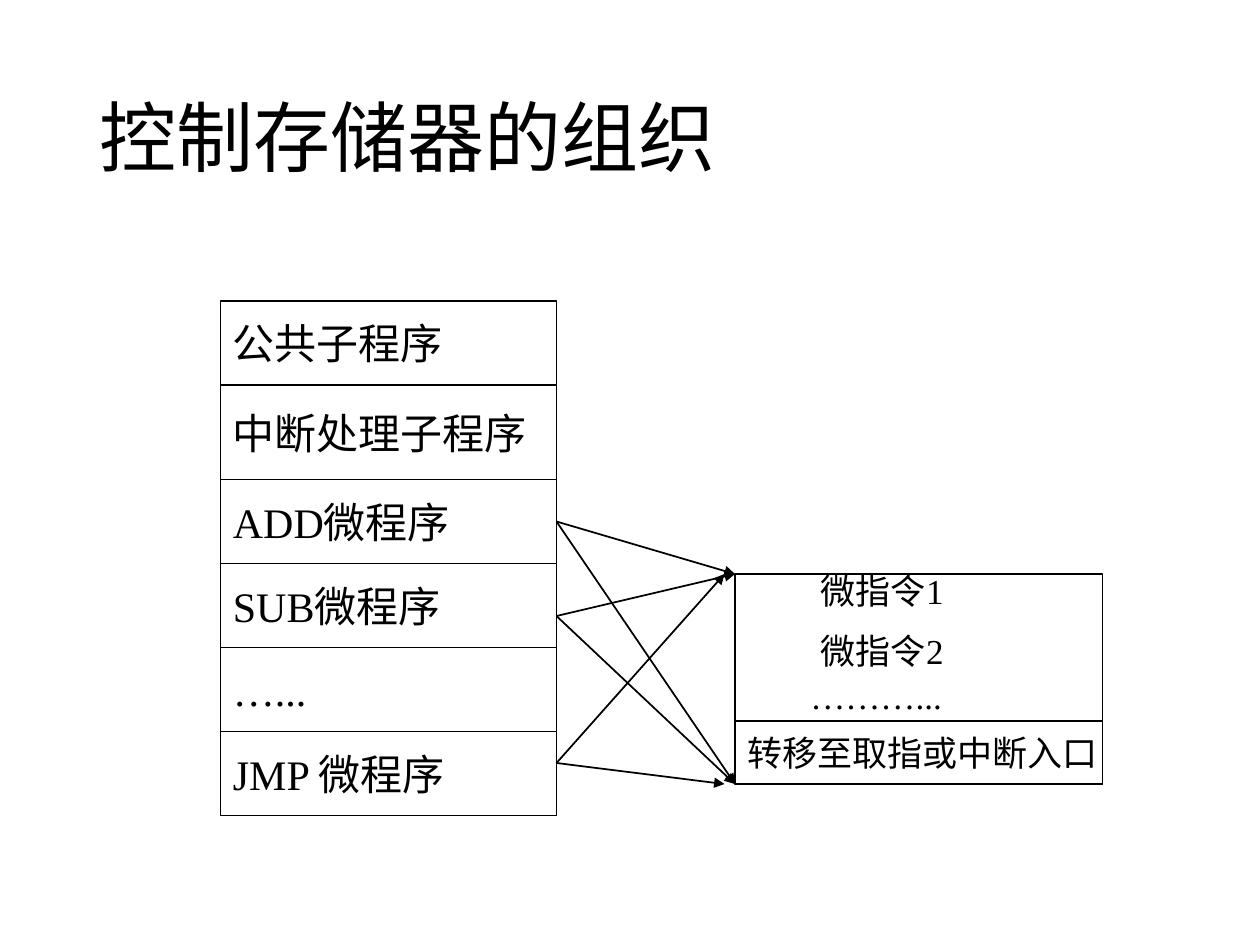
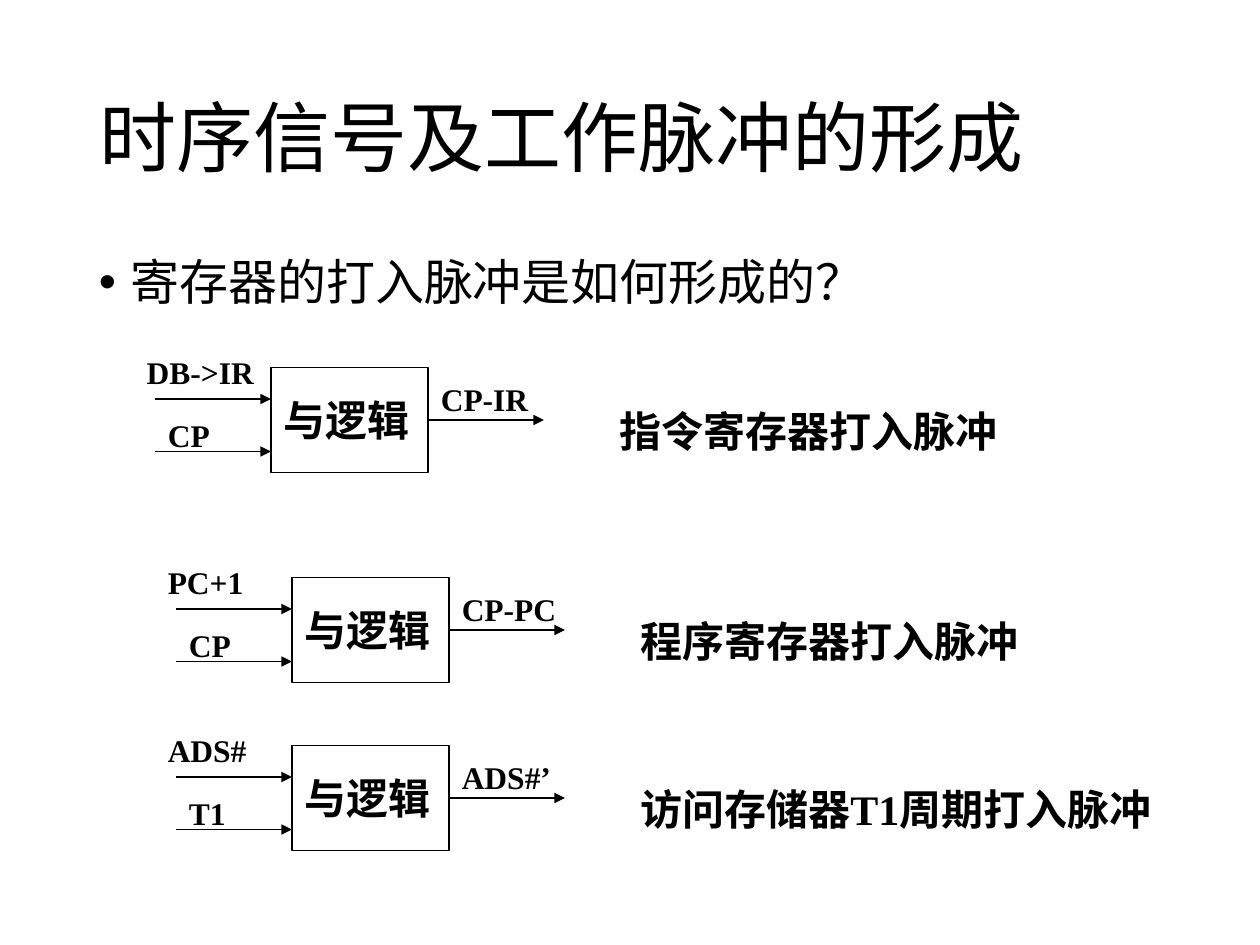
from dataclasses import dataclass
from itertools import accumulate

from lxml.etree import SubElement
from pptx import Presentation
from pptx.dml.color import RGBColor
from pptx.enum.lang import MSO_LANGUAGE_ID
from pptx.enum.shapes import MSO_CONNECTOR, MSO_SHAPE
from pptx.enum.text import MSO_ANCHOR, MSO_AUTO_SIZE, PP_ALIGN
from pptx.oxml.ns import qn
from pptx.util import Inches, Pt

BLACK = RGBColor(0, 0, 0)
WHITE = RGBColor(255, 255, 255)
HEADING_FONT = "Calibri"
DIAGRAM_FONT = "Times New Roman"
SLIDE_WIDTH, SLIDE_HEIGHT = Inches(10), Inches(7.5)
COLUMNS, ROWS = 120, 90
TITLE_ONLY_LAYOUT = 5


@dataclass(frozen=True)
class Area:
    """A rectangle in grid columns and rows."""
    left: float
    top: float
    width: float
    height: float

    def lengths(self) -> tuple:
        return (across(self.left), down(self.top),
                across(self.width), down(self.height))


@dataclass(frozen=True)
class Gate:
    left: float
    top: float
    upper_input: str
    lower_input: str
    output: str
    meaning: str
    meaning_width: float = 52


TITLE_AREA = Area(8.25, 4.8, 103.5, 17.4)
QUESTION_AREA = Area(8.25, 24, 103.5, 57.1)

STORE_LEFT, STORE_TOP, STORE_WIDTH = 21, 28.67, 32
STORE_ROWS = [
    ("公共子程序", 8),
    ("中断处理子程序", 9),
    ("ADD微程序", 8),
    ("SUB微程序", 8),
    ("…...", 8),
    ("JMP 微程序", 8),
]
ROUTINE = Area(70, 54.67, 35, 20)
ROUTINE_EXIT_HEIGHT = 6
# Row where the two arrows of a microprogram start, and the column they reach
EXPANSIONS = [(49.67, 70), (58.67, 70), (72.67, 69)]

GATE_WIDTH, GATE_HEIGHT, WIRE_LENGTH = 15, 10, 11
GATES = [
    Gate(25.8, 35, "DB->IR", "CP", "CP-IR", "指令寄存器打入脉冲"),
    Gate(27.8, 55, "PC+1", "CP", "CP-PC", "程序寄存器打入脉冲"),
    Gate(27.8, 71, "ADS#", "T1", "ADS#’", "访问存储器T1周期打入脉冲", 57),
]


def across(columns: float) -> int:
    return round(SLIDE_WIDTH * columns / COLUMNS)


def down(rows: float) -> int:
    return round(SLIDE_HEIGHT * rows / ROWS)


def write(shape, *lines: str, size: float, font: str = DIAGRAM_FONT,
          bold: bool = False, anchor=MSO_ANCHOR.TOP, wrap: bool = True,
          spacing: float = 1, gap: float = 0, bullet: bool = False) -> None:
    frame = shape.text_frame
    frame.word_wrap = wrap
    frame.vertical_anchor = anchor
    for index, line in enumerate(lines):
        paragraph = frame.add_paragraph() if index else frame.paragraphs[0]
        if bullet:
            add_bullet(paragraph)
        paragraph.alignment = PP_ALIGN.LEFT
        paragraph.line_spacing = spacing
        if index:
            paragraph.space_before = Pt(gap)
        run = paragraph.add_run()
        run.text = line
        run.font.name = font
        run.font.size = Pt(size)
        run.font.bold = bold
        run.font.color.rgb = BLACK
        run.font.language_id = MSO_LANGUAGE_ID.SIMPLIFIED_CHINESE


def add_bullet(paragraph) -> None:
    properties = paragraph._p.get_or_add_pPr()
    properties.set("marL", str(Inches(0.25)))
    properties.set("indent", str(-Inches(0.25)))
    SubElement(properties, qn("a:buFont"), typeface="Arial")
    SubElement(properties, qn("a:buChar"), char="•")


def add_box(slide, area: Area, text: str = "", **text_format) -> None:
    box = slide.shapes.add_shape(MSO_SHAPE.RECTANGLE, *area.lengths())
    box.shadow.inherit = False
    box.fill.solid()
    box.fill.fore_color.rgb = WHITE
    box.line.color.rgb = BLACK
    box.line.width = Pt(1)
    if text:
        write(box, text, anchor=MSO_ANCHOR.MIDDLE, wrap=False, **text_format)


def add_label(slide, area: Area, *lines: str, **text_format) -> None:
    label = slide.shapes.add_textbox(*area.lengths())
    write(label, *lines, **text_format)
    label.text_frame.auto_size = MSO_AUTO_SIZE.SHAPE_TO_FIT_TEXT


def add_arrow(slide, start: tuple[float, float], end: tuple[float, float]) -> None:
    arrow = slide.shapes.add_connector(
        MSO_CONNECTOR.STRAIGHT, across(start[0]), down(start[1]),
        across(end[0]), down(end[1]))
    arrow.line.color.rgb = BLACK
    arrow.line.width = Pt(1)
    SubElement(arrow.line._get_or_add_ln(), qn("a:tailEnd"), type="triangle")
    SubElement(arrow._element.spPr, qn("a:effectLst"))


def add_titled_slide(presentation, title: str):
    slide = presentation.slides.add_slide(
        presentation.slide_layouts[TITLE_ONLY_LAYOUT])
    heading = slide.shapes.title
    heading.left, heading.top, heading.width, heading.height = TITLE_AREA.lengths()
    write(heading, title, size=44, font=HEADING_FONT, spacing=0.9,
          anchor=MSO_ANCHOR.MIDDLE)
    return slide


def build_control_store(presentation) -> None:
    slide = add_titled_slide(presentation, "控制存储器的组织")
    tops = accumulate((height for _, height in STORE_ROWS), initial=STORE_TOP)
    for (name, height), top in zip(STORE_ROWS, tops):
        add_box(slide, Area(STORE_LEFT, top, STORE_WIDTH, height), name, size=24)

    bottom = ROUTINE.top + ROUTINE.height
    add_box(slide, ROUTINE)
    add_box(slide, Area(ROUTINE.left, bottom - ROUTINE_EXIT_HEIGHT,
                        ROUTINE.width, ROUTINE_EXIT_HEIGHT),
            "转移至取指或中断入口", size=20)
    add_label(slide, Area(77, 53.67, 18, 11.2), "微指令1", "微指令2",
              size=20, gap=10)
    add_label(slide, Area(76, 63.67, 27, 12.5), "………...", size=20)

    for start_row, end_column in EXPANSIONS:
        for end_row in (ROUTINE.top, bottom):
            add_arrow(slide, (STORE_LEFT + STORE_WIDTH, start_row),
                      (end_column, end_row))


def add_gate(slide, gate: Gate) -> None:
    left, top = gate.left, gate.top
    right = left + GATE_WIDTH
    add_box(slide, Area(left, top, GATE_WIDTH, GATE_HEIGHT), "与逻辑",
            size=24, bold=True)
    for wire_left, offset in ((left - WIRE_LENGTH, 3),
                              (left - WIRE_LENGTH, 8), (right, 5)):
        add_arrow(slide, (wire_left, top + offset),
                  (wire_left + WIRE_LENGTH, top + offset))

    labels = [
        (gate.upper_input, Area(left - 13, top - 2, 18, 4.8)),
        (gate.lower_input, Area(left - 11, top + 4, 9, 4.8)),
        (gate.output, Area(right, top + 0.6, 14, 4.8)),
    ]
    for text, area in labels:
        add_label(slide, area, text, size=18, bold=True)
    add_label(slide, Area(left + 32, top + 3, gate.meaning_width, 6),
              gate.meaning, size=24, bold=True)


def build_pulse_forming(presentation) -> None:
    slide = add_titled_slide(presentation, "时序信号及工作脉冲的形成")
    question = slide.shapes.add_textbox(*QUESTION_AREA.lengths())
    write(question, "寄存器的打入脉冲是如何形成的？", size=28,
          font=HEADING_FONT, spacing=0.9, bullet=True)
    for gate in GATES:
        add_gate(slide, gate)


def main() -> None:
    presentation = Presentation()
    presentation.slide_width = SLIDE_WIDTH
    presentation.slide_height = SLIDE_HEIGHT
    build_control_store(presentation)
    build_pulse_forming(presentation)
    presentation.save("out.pptx")


if __name__ == "__main__":
    main()
